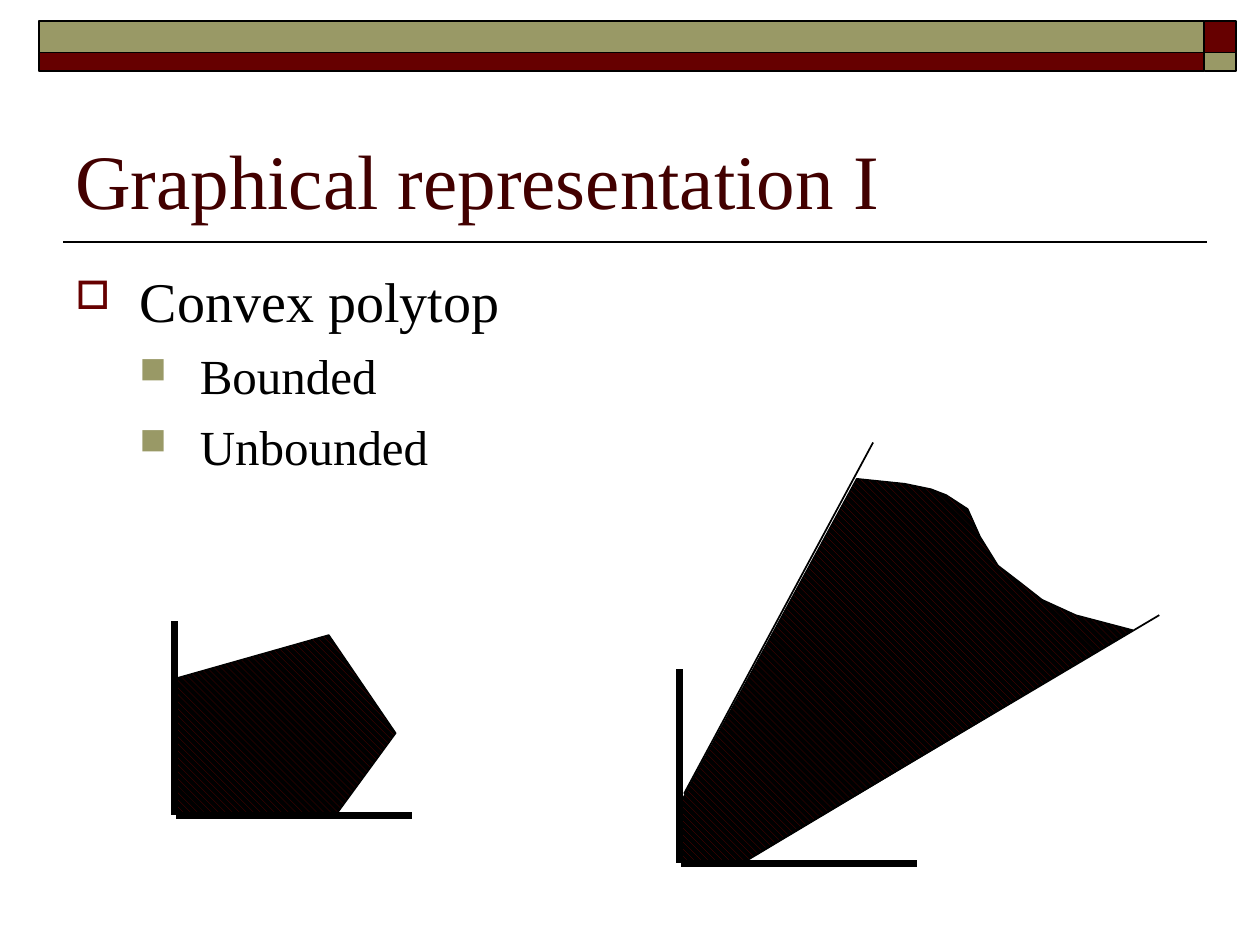
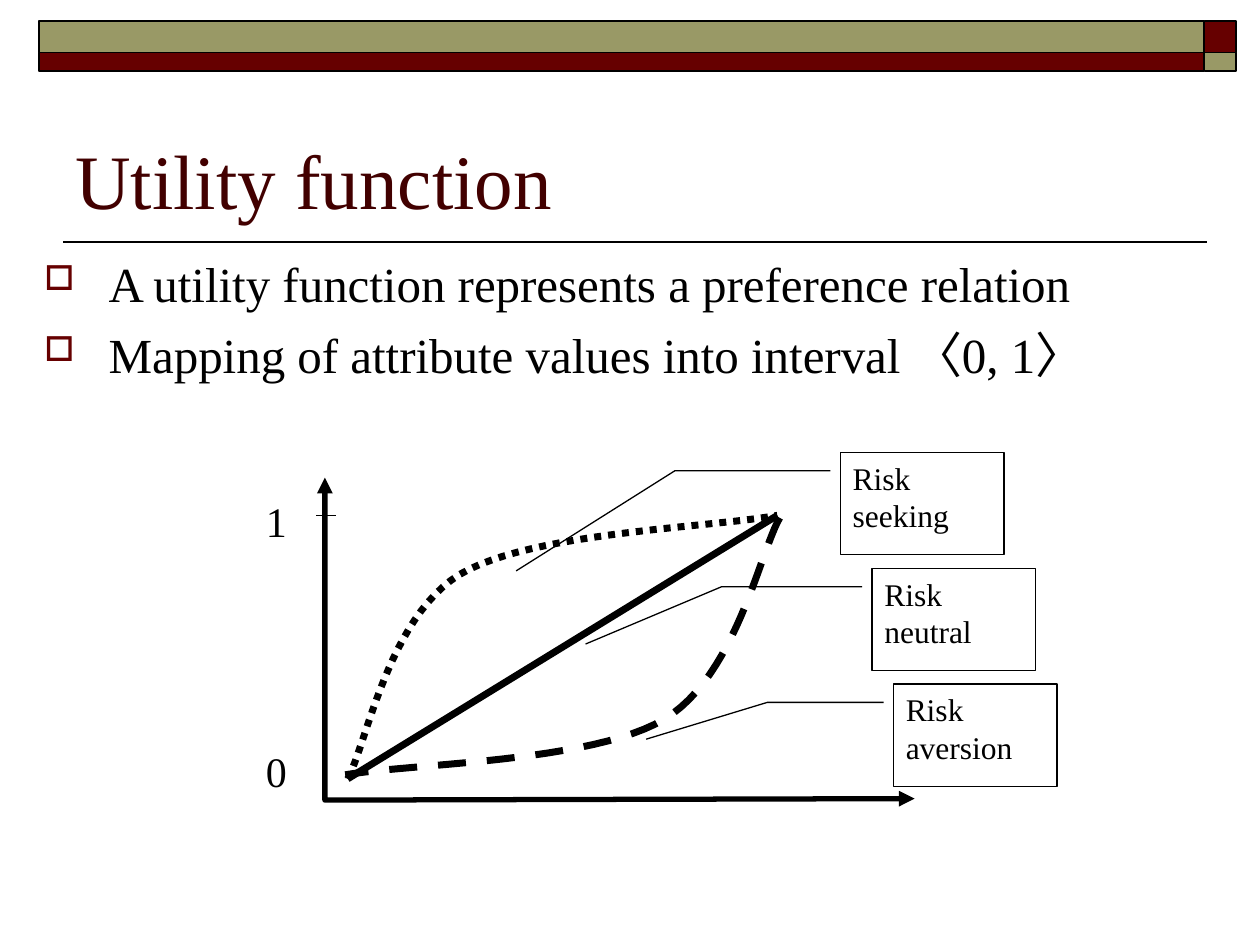
import dataclasses

import lxml.etree
import pptx
import pptx.dml.color
import pptx.enum.dml
import pptx.enum.shapes
import pptx.enum.text
import pptx.oxml.ns
import pptx.util

Cm = pptx.util.Cm
Pt = pptx.util.Pt
qn = pptx.oxml.ns.qn
SHAPE = pptx.enum.shapes.MSO_SHAPE
DASH = pptx.enum.dml.MSO_LINE
ANCHOR = pptx.enum.text.MSO_ANCHOR


@dataclasses.dataclass(frozen=True)
class Theme:
    font: str = "Times New Roman"
    ink: str = "000000"
    wine: str = "660000"
    olive: str = "999966"
    head: str = "420000"
    title: int = 44
    large: int = 32
    mid: int = 28
    mark: int = 24
    note: int = 18
    gap: int = 7
    thin: float = 0.75
    rule: float = 1
    axis: float = 3
    bold: float = 4


THEME = Theme()
LEVELS = {
    0: {"char": "□", "tint": THEME.wine, "scale": 70, "left": 1.3, "hang": -1.3},
    1: {"char": "■", "tint": THEME.olive, "scale": 75, "left": 2.51, "hang": -1.22},
}


def rgb(code):
    return pptx.dml.color.RGBColor.from_string(code)


def apply(target, values):
    for name, value in values.items():
        setattr(target, name, value)


def stroke(shape, width, dash=None):
    shape.line.color.rgb = rgb(THEME.ink)
    apply(shape.line, {"width": Pt(width), "dash_style": dash})


def style(para, size, tint=THEME.ink):
    apply(para.font, {"name": THEME.font, "size": Pt(size)})
    para.font.color.rgb = rgb(tint)


def line(slide, start, end, width):
    kind = pptx.enum.shapes.MSO_CONNECTOR.STRAIGHT
    link = slide.shapes.add_connector(kind, *map(Cm, start + end))
    stroke(link, width)
    lxml.etree.SubElement(link._element.spPr, qn("a:effectLst"))


def block(slide, box, tint):
    shape = slide.shapes.add_shape(SHAPE.RECTANGLE, *map(Cm, box))
    shape.shadow.inherit = False
    shape.fill.solid()
    shape.fill.fore_color.rgb = rgb(tint)
    stroke(shape, THEME.rule)


def text(slide, box, words, size, tint=THEME.ink, anchor=ANCHOR.TOP):
    frame = slide.shapes.add_textbox(*map(Cm, box)).text_frame
    apply(frame, {"word_wrap": True, "vertical_anchor": anchor})
    para = frame.paragraphs[0]
    para.text = words
    style(para, size, tint)


def bullet(para, level):
    look = LEVELS[level]
    props = para._p.get_or_add_pPr()
    props.set("marL", str(Cm(look["left"])))
    props.set("indent", str(Cm(look["hang"])))
    tint = lxml.etree.SubElement(props, qn("a:buClr"))
    lxml.etree.SubElement(tint, qn("a:srgbClr"), val=look["tint"])
    lxml.etree.SubElement(props, qn("a:buSzPct"), val=str(look["scale"] * 1000))
    lxml.etree.SubElement(props, qn("a:buChar"), char=look["char"])
    para.level = level


def points(slide, box, items):
    frame = slide.shapes.add_textbox(*map(Cm, box)).text_frame
    frame.word_wrap = True
    for index, (level, size, words) in enumerate(items):
        para = frame.add_paragraph() if index else frame.paragraphs[0]
        bullet(para, level)
        para.text = words
        para.space_before = Pt(THEME.gap if index else 0)
        style(para, size)


def trace(slide, spots, width, close=False, dash=None):
    spots = [(Cm(x), Cm(y)) for x, y in spots]
    pen = slide.shapes.build_freeform(*spots[0])
    pen.add_line_segments(spots[1:], close=close)
    shape = pen.convert_to_shape()
    shape.shadow.inherit = False
    shape.fill.background()
    stroke(shape, width, dash)
    return shape


def hatch(slide, spots):
    fill = trace(slide, spots, THEME.thin, close=True).fill
    fill.patterned()
    fill.pattern = pptx.enum.dml.MSO_PATTERN.WIDE_DOWNWARD_DIAGONAL
    fill.fore_color.rgb = rgb(THEME.wine)
    fill.back_color.rgb = rgb(THEME.ink)


def axes(slide, left, top):
    base = top + 3.91
    line(slide, (left, top), (left, base), THEME.bold)
    line(slide, (left + 0.03, base), (left + 4.8, base), THEME.bold)


def arrows(shape):
    edge = shape.line._get_or_add_ln()
    for end in ("a:headEnd", "a:tailEnd"):
        lxml.etree.SubElement(edge, qn(end), type="triangle")


def bend(knots, steps=24):
    spots = [knots[0]]
    for first in range(0, len(knots) - 1, 3):
        for step in range(1, steps + 1):
            t = step / steps
            parts = ((1 - t) ** 3, 3 * t * (1 - t) ** 2, 3 * t * t * (1 - t), t ** 3)
            quad = knots[first:first + 4]
            spots.append(tuple(sum(w * k[axis] for w, k in zip(parts, quad))
                               for axis in (0, 1)))
    return spots


def callout(slide, left, top, words, elbow, tip):
    shape = slide.shapes.add_shape(SHAPE.LINE_CALLOUT_2, *map(Cm, (left, top, 3.3, 2.06)))
    shape.shadow.inherit = False
    shape.fill.background()
    stroke(shape, THEME.thin)
    for index, value in enumerate((0.18, -0.06, 0.18, elbow, *tip)):
        shape.adjustments[index] = value
    frame = shape.text_frame
    apply(frame, {"word_wrap": True, "vertical_anchor": ANCHOR.TOP})
    para = frame.paragraphs[0]
    para.text = words
    para.alignment = pptx.enum.text.PP_ALIGN.LEFT
    style(para, THEME.note)


def base(deck, title):
    slide = deck.slides.add_slide(deck.slide_layouts[6])
    line(slide, (24.33, 4.88), (1.27, 4.88), THEME.rule)
    tints = (THEME.olive, THEME.wine)
    for row, (top, height) in enumerate(((0.42, 0.64), (1.06, 0.38))):
        for col, (left, width) in enumerate(((0.78, 23.5), (24.28, 0.64))):
            block(slide, (left, top, width, height), tints[(row + col) % 2])
    text(slide, (1.27, 1.47, 22.86, 3.18), title, THEME.title, THEME.head, ANCHOR.BOTTOM)
    return slide


def convex(deck):
    slide = base(deck, "Graphical representation I")
    hatch(slide, [(3.56, 13.67), (3.56, 16.38), (6.81, 16.38), (7.98, 14.78), (6.63, 12.8)])
    axes(slide, 3.51, 12.52)
    hatch(slide, [(17.27, 9.65), (13.72, 16.18), (13.72, 17.35), (15.06, 17.35),
                  (22.83, 12.7), (21.69, 12.4), (21.01, 12.09), (20.55, 11.73),
                  (20.12, 11.4), (19.76, 10.82), (19.51, 10.26), (19.08, 9.98),
                  (18.77, 9.86), (18.24, 9.75)])
    axes(slide, 13.69, 13.49)
    line(slide, (13.79, 16), (17.6, 8.92), THEME.rule)
    line(slide, (15.24, 17.22), (23.37, 12.4), THEME.rule)
    points(slide, (1.27, 5.24, 22.86, 5.07), [
        (0, THEME.large, "Convex polytop"),
        (1, THEME.mid, "Bounded"),
        (1, THEME.mid, "Unbounded"),
    ])


def risk(deck):
    slide = base(deck, "Utility function")
    points(slide, (0.64, 4.98, 23.7, 3.35), [
        (0, THEME.mid, "A utility function represents a preference relation"),
        (0, THEME.mid, "Mapping of attribute values into interval 〈0, 1〉"),
    ])
    arrows(trace(slide, [(6.55, 9.63), (6.55, 16.13), (18.44, 16.1)], THEME.axis))
    for top, mark in ((9.86, "1"), (14.9, "0")):
        text(slide, (5.11, top, 1.47, 1.2), mark, THEME.mark)
    line(slide, (6.38, 10.39), (6.78, 10.39), THEME.thin)
    line(slide, (7.01, 15.7), (15.67, 10.39), THEME.bold)
    seek = [(7.01, 15.7), (7.39, 15.01), (7.82, 12.47), (9.27, 11.58),
            (10.72, 10.72), (14.35, 10.64), (15.67, 10.39)]
    avert = [(15.72, 10.44), (15.32, 11.13), (14.83, 13.64), (13.39, 14.5),
             (11.94, 15.37), (8.31, 15.39), (6.96, 15.62)]
    trace(slide, bend(seek), THEME.bold, dash=DASH.ROUND_DOT)
    trace(slide, bend(avert), THEME.bold, dash=DASH.DASH)
    callout(slide, 16.94, 9.12, "Risk seeking", -1.01, (1.16, -1.98))
    callout(slide, 18.01, 13.79, "Risk aversion", -0.77, (0.54, -1.51))
    callout(slide, 17.58, 11.46, "Risk neutral", -0.92, (0.74, -1.75))


def main():
    deck = pptx.Presentation()
    apply(deck, {"slide_width": Cm(25.4), "slide_height": Cm(19.05)})
    convex(deck)
    risk(deck)
    deck.save("out.pptx")


if __name__ == "__main__":
    main()
